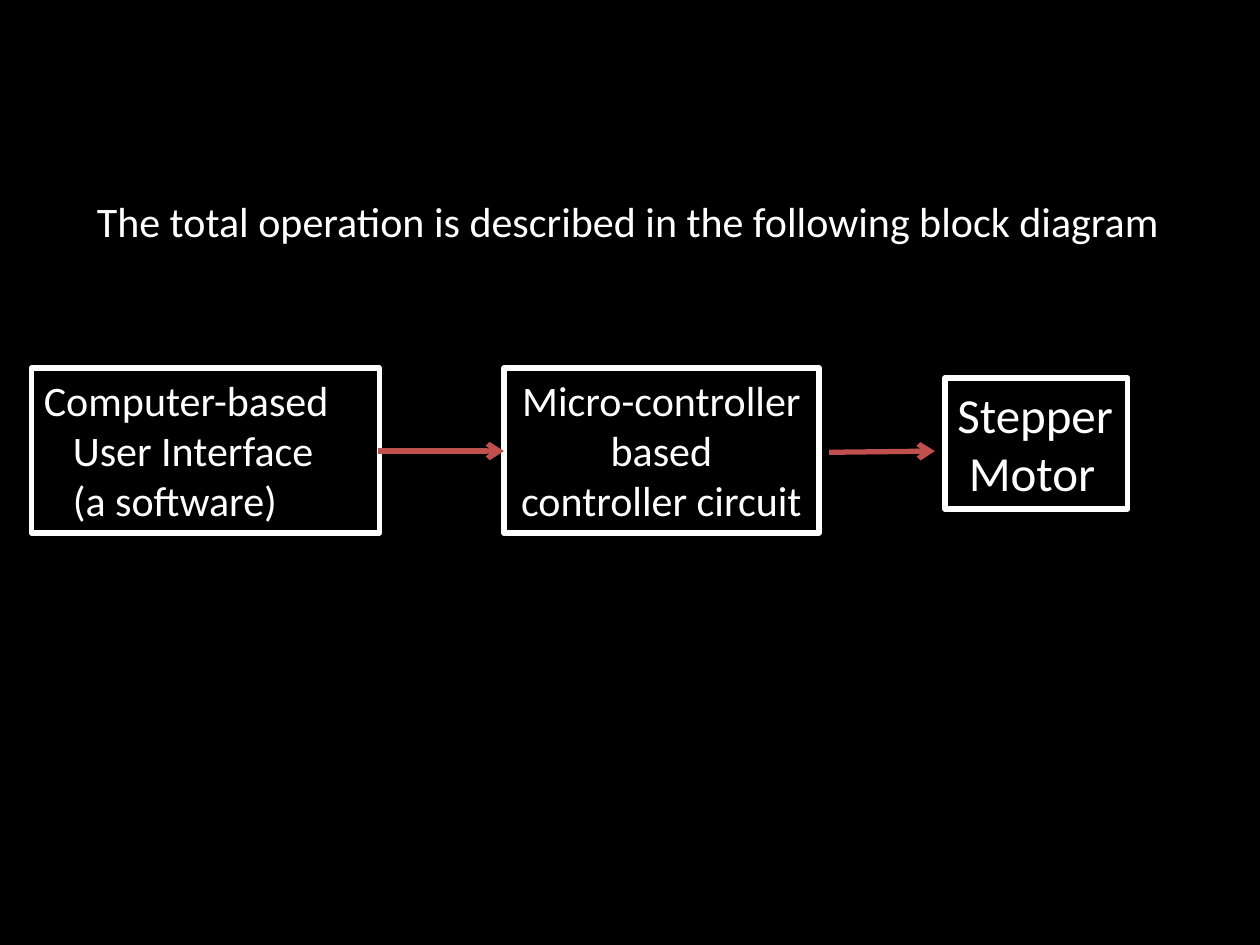
from lxml.etree import SubElement
from pptx import Presentation
from pptx.dml.color import RGBColor
from pptx.enum.shapes import MSO_CONNECTOR
from pptx.enum.text import MSO_ANCHOR, PP_ALIGN
from pptx.oxml.ns import qn
from pptx.util import Inches, Pt

BLACK, WHITE, RED = "000000", "FFFFFF", "C0504D"


def paint(color_format, color):
    """Set a colour format from a hex string."""
    color_format.rgb = RGBColor.from_string(color)


def write(frame, lines, size=24, align=PP_ALIGN.LEFT, indent=0, wrap=True):
    """Write one paragraph per line, indenting those after the first."""
    frame.word_wrap = wrap
    frame.vertical_anchor = MSO_ANCHOR.TOP
    for number, line in enumerate(lines):
        paragraph = frame.add_paragraph() if number else frame.paragraphs[0]
        paragraph.alignment = align
        if number and indent:
            paragraph._p.get_or_add_pPr().set("marL", str(Inches(indent)))
        run = paragraph.add_run()
        run.text = line
        run.font.name = "Calibri"
        run.font.size = Pt(size)
        paint(run.font.color, WHITE)


def add_text(slide, place, lines, outlined=True, **text_format):
    """Add a black text box, with a white outline for a diagram block."""
    block = slide.shapes.add_textbox(*map(Inches, place))
    block.fill.solid()
    paint(block.fill.fore_color, BLACK)
    if outlined:
        block.line.width = Pt(3)
        paint(block.line.color, WHITE)
    write(block.text_frame, lines, **text_format)


def add_arrow(slide, start, end):
    """Add a red arrow between two points."""
    arrow = slide.shapes.add_connector(
        MSO_CONNECTOR.STRAIGHT, *map(Inches, start + end)
    )
    arrow.line.width = Pt(3)
    paint(arrow.line.color, RED)
    SubElement(arrow.line._get_or_add_ln(), qn("a:tailEnd"), type="arrow")
    SubElement(arrow._element.spPr, qn("a:effectLst"))


def main():
    """Build the block diagram slide."""
    deck = Presentation()
    deck.slide_width, deck.slide_height = Inches(10), Inches(7.5)
    slide = deck.slides.add_slide(deck.slide_layouts[6])
    slide.background.fill.solid()
    paint(slide.background.fill.fore_color, BLACK)

    introduction = "The total operation is described in the following block diagram"
    add_text(slide, (0.67, 1.5, 8.71, 0.5), [introduction], outlined=False, wrap=False)

    interface = ["Computer-based", "User Interface", "(a software)"]
    add_text(slide, (0.25, 2.92, 2.76, 1.31), interface, indent=0.23)
    controller = ["Micro-controller based", "controller circuit"]
    add_text(slide, (4, 2.92, 2.5, 1.31), controller, align=PP_ALIGN.CENTER)
    motor = ["Stepper", "Motor"]
    add_text(slide, (7.5, 3, 1.45, 1.04), motor, size=28, indent=0.09, wrap=False)

    add_arrow(slide, (3, 3.58), (4, 3.58))
    add_arrow(slide, (6.58, 3.59), (7.42, 3.58))
    deck.save("out.pptx")


if __name__ == "__main__":
    main()
